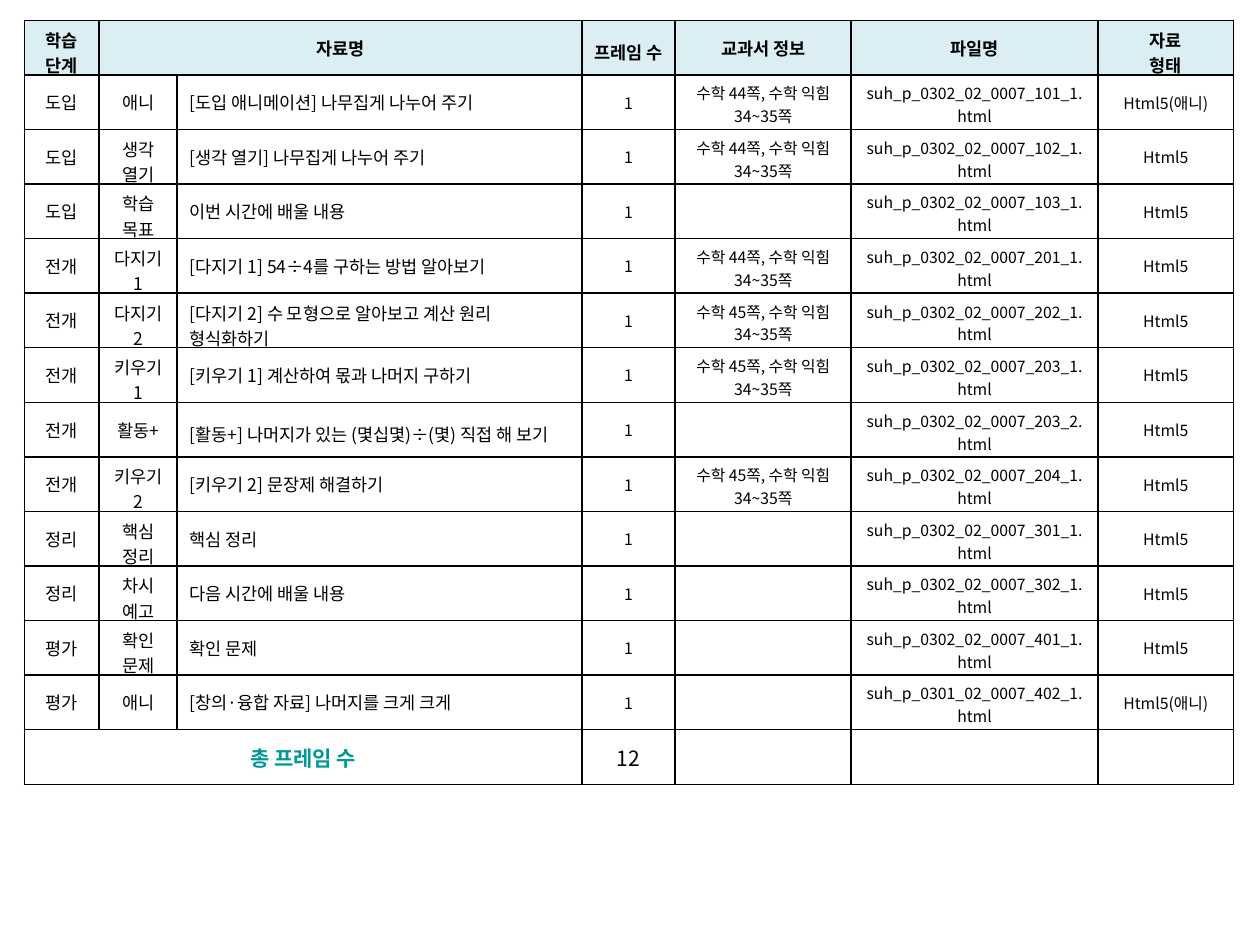
"""Build the slide listing the learning materials of a lesson."""
from dataclasses import dataclass

from lxml.etree import SubElement
from pptx import Presentation
from pptx.dml.color import RGBColor
from pptx.enum.text import MSO_VERTICAL_ANCHOR as Anchor, PP_PARAGRAPH_ALIGNMENT as Align
from pptx.oxml.ns import qn
from pptx.table import Table, _Cell as Cell
from pptx.util import Cm, Pt

BLACK = RGBColor(0x00, 0x00, 0x00)
WHITE = RGBColor(0xFF, 0xFF, 0xFF)
HEADER_BLUE = RGBColor(0xDB, 0xEE, 0xF4)
TEAL = RGBColor(0x00, 0x99, 0x99)
FONT = "Noto Sans CJK KR"

COLUMN_WIDTHS = (1.51, 1.57, 8.16, 1.88, 3.55, 4.97, 2.74)
CHARACTERS_PER_LINE = (3, 3, 28, 3, 10, 10, 10)
ROW_HEIGHT = 1.1
TWO_LINE_BOTTOM_MARGINS = {9: 0.04, 10: -0.06, 12: 0.13}
HEADERS = ("학습 단계", "자료명", "", "프레임 수", "교과서 정보", "파일명", "자료\n형태")


@dataclass(frozen=True)
class Material:
    stage: str
    section: str
    title: str
    file_code: str
    page: int = 0
    file_format: str = "Html5"
    unit: str = "0302"

    def texts(self) -> tuple[str, ...]:
        """Return the texts of the row, column by column."""
        pages = f"수학 {self.page}쪽, 수학 익힘 34~35쪽" if self.page else ""
        file_name = f"suh_p_{self.unit}_02_0007_{self.file_code}.html"
        return self.stage, self.section, self.title, "1", pages, file_name, self.file_format


@dataclass(frozen=True)
class CellStyle:
    size: int
    color: RGBColor = BLACK
    bold: bool = False
    fill: RGBColor = WHITE
    align: Align = Align.CENTER


HEADER = CellStyle(10, bold=True, fill=HEADER_BLUE)
LABEL = CellStyle(10)
TITLE = CellStyle(10, align=Align.LEFT)
DETAIL = CellStyle(9)
TOTAL_LABEL = CellStyle(12, color=TEAL, bold=True)
TOTAL = CellStyle(12)
MATERIAL_STYLES = (LABEL, LABEL, TITLE, DETAIL, DETAIL, DETAIL, DETAIL)

MATERIALS = (
    Material("도입", "애니", "[도입 애니메이션] 나무집게 나누어 주기", "101_1", 44, "Html5(애니)"),
    Material("도입", "생각 열기", "[생각 열기] 나무집게 나누어 주기", "102_1", 44),
    Material("도입", "학습 목표", "이번 시간에 배울 내용", "103_1"),
    Material("전개", "다지기 1", "[다지기 1] 54÷4를 구하는 방법 알아보기", "201_1", 44),
    Material("전개", "다지기 2", "[다지기 2] 수 모형으로 알아보고 계산 원리 형식화하기", "202_1", 45),
    Material("전개", "키우기1", "[키우기 1] 계산하여 몫과 나머지 구하기", "203_1", 45),
    Material("전개", "활동+", "[활동+] 나머지가 있는 (몇십몇)÷(몇) 직접 해 보기", "203_2"),
    Material("전개", "키우기2", "[키우기 2] 문장제 해결하기", "204_1", 45),
    Material("정리", "핵심 정리", "핵심 정리", "301_1"),
    Material("정리", "차시 예고", "다음 시간에 배울 내용", "302_1"),
    Material("평가", "확인 문제", "확인 문제", "401_1"),
    Material("평가", "애니", "[창의·융합 자료] 나머지를 크게 크게", "402_1",
             file_format="Html5(애니)", unit="0301"),
)


def add_borders(cell: Cell) -> None:
    """Draw a thin black line on every side of the cell."""
    properties = cell._tc.get_or_add_tcPr()
    for side in ("a:lnL", "a:lnR", "a:lnT", "a:lnB"):
        line = SubElement(properties, qn(side), w=str(Pt(1)))
        fill = SubElement(line, qn("a:solidFill"))
        SubElement(fill, qn("a:srgbClr"), val=str(BLACK))


def format_cell(cell: Cell, text: str, style: CellStyle) -> None:
    """Fill one cell with styled text."""
    add_borders(cell)
    cell.fill.solid()
    cell.fill.fore_color.rgb = style.fill
    cell.vertical_anchor = Anchor.MIDDLE
    cell.text_frame.text = text
    for paragraph in cell.text_frame.paragraphs:
        paragraph.alignment = style.align
        for run in paragraph.runs:
            font = run.font
            font.name, font.size, font.bold = FONT, Pt(style.size), style.bold
            font.color.rgb = style.color
            SubElement(run._r.get_or_add_rPr(), qn("a:ea"), typeface=FONT)


def fill_row(table: Table, row: int, texts: tuple[str, ...], styles: tuple[CellStyle, ...]) -> None:
    """Write one row, letting two-line cells keep the common row height."""
    for column, (text, style) in enumerate(zip(texts, styles)):
        cell = table.cell(row, column)
        format_cell(cell, text, style)
        if "\n" in text or len(text) > CHARACTERS_PER_LINE[column]:
            cell.margin_bottom = Cm(TWO_LINE_BOTTOM_MARGINS[style.size])


def main() -> None:
    """Create the presentation and save it."""
    presentation = Presentation()
    presentation.slide_width, presentation.slide_height = Cm(25.4), Cm(19.05)
    slide = presentation.slides.add_slide(presentation.slide_layouts[6])

    row_count = len(MATERIALS) + 2
    table = slide.shapes.add_table(
        row_count, len(COLUMN_WIDTHS), Cm(0.49), Cm(0.41),
        Cm(sum(COLUMN_WIDTHS)), Cm(ROW_HEIGHT * row_count),
    ).table
    table.first_row = table.horz_banding = False
    for column, width in zip(table.columns, COLUMN_WIDTHS):
        column.width = Cm(width)
    for row in table.rows:
        row.height = Cm(ROW_HEIGHT)

    fill_row(table, 0, HEADERS, (HEADER,) * len(HEADERS))
    for row, material in enumerate(MATERIALS, start=1):
        fill_row(table, row, material.texts(), MATERIAL_STYLES)
    total_row = row_count - 1
    totals = ("총 프레임 수", "", "", str(len(MATERIALS)), "", "", "")
    fill_row(table, total_row, totals, (TOTAL_LABEL,) * 3 + (TOTAL,) * 4)

    table.cell(0, 1).merge(table.cell(0, 2))
    table.cell(total_row, 0).merge(table.cell(total_row, 2))
    presentation.save("out.pptx")


if __name__ == "__main__":
    main()
